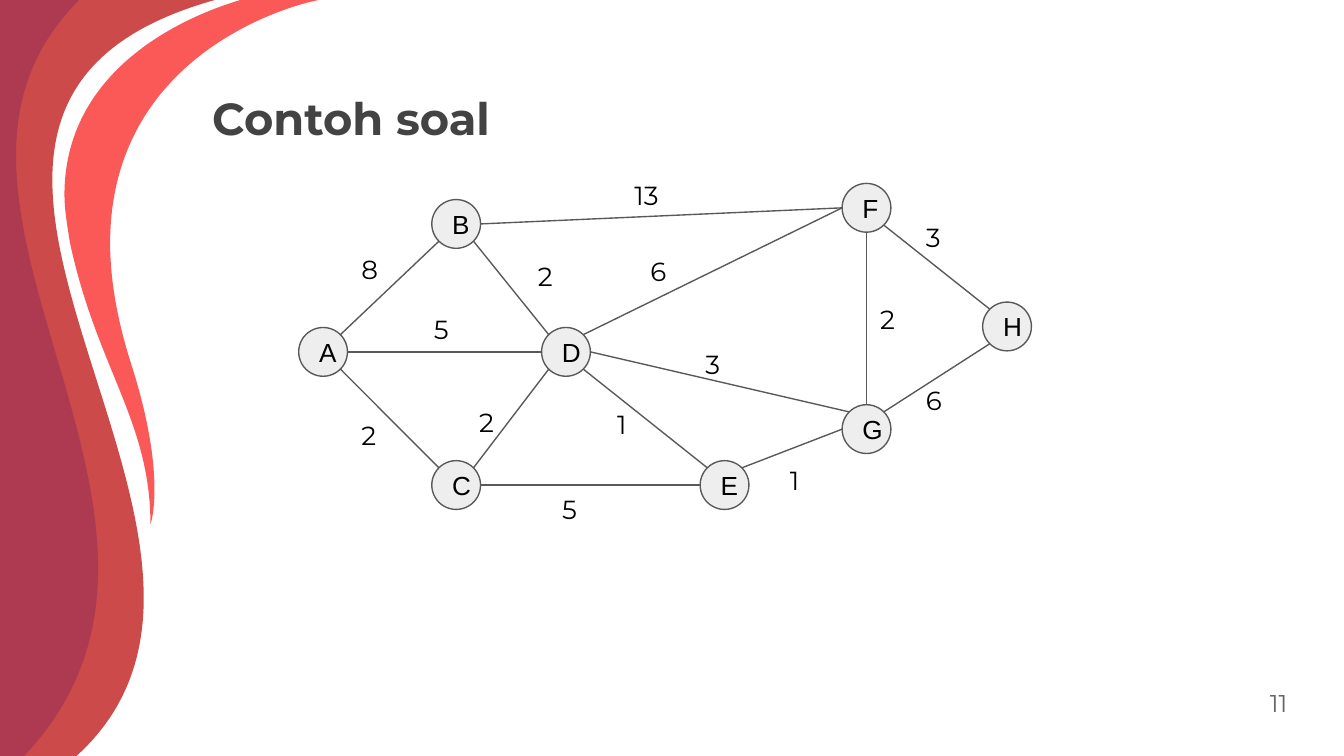
from dataclasses import dataclass
from enum import Enum
from math import sqrt

from lxml.etree import SubElement
from pptx import Presentation
from pptx.dml.color import RGBColor
from pptx.enum.shapes import MSO_CONNECTOR, MSO_SHAPE
from pptx.enum.text import MSO_ANCHOR, PP_ALIGN
from pptx.oxml.ns import qn
from pptx.slide import Slide
from pptx.text.text import TextFrame
from pptx.util import Inches, Pt

# The grid has 100 columns and 56.25 rows of square cells.
COLUMNS, ROWS = 100, 56.25
CELL = Inches(10) / COLUMNS
NODE_SIZE = 3.63
LABEL_HEIGHT = 4.3
DIAGONAL = sqrt(0.5)

CORAL = RGBColor(0xFB, 0x58, 0x58)
RED = RGBColor(0xCC, 0x4A, 0x4A)
WINE = RGBColor(0xAD, 0x3A, 0x50)
TITLE_GRAY = RGBColor(0x43, 0x43, 0x43)
NUMBER_GRAY = RGBColor(0x66, 0x66, 0x66)
LINE_GRAY = RGBColor(0x59, 0x59, 0x59)
NODE_GRAY = RGBColor(0xEE, 0xEE, 0xEE)
BLACK = RGBColor(0, 0, 0)

Point = tuple[float, float]


class Site(Enum):
    """Direction from a node's centre to the point where an edge touches it."""
    TOP = (0, -1)
    BOTTOM = (0, 1)
    LEFT = (-1, 0)
    RIGHT = (1, 0)
    TOP_LEFT = (-DIAGONAL, -DIAGONAL)
    TOP_RIGHT = (DIAGONAL, -DIAGONAL)
    BOTTOM_LEFT = (-DIAGONAL, DIAGONAL)
    BOTTOM_RIGHT = (DIAGONAL, DIAGONAL)


@dataclass(frozen=True)
class Wave:
    """A start point followed by segments: one point is a line, three a curve."""
    color: RGBColor
    start: Point
    segments: list[tuple[Point, ...]]


@dataclass(frozen=True)
class Node:
    column: float
    row: float
    alignment: PP_ALIGN = PP_ALIGN.LEFT

    def touch(self, site: Site) -> Point:
        radius = NODE_SIZE / 2
        across, down = site.value
        return self.column + radius * (1 + across), self.row + radius * (1 + down)


@dataclass(frozen=True)
class Edge:
    start: str
    start_site: Site
    end: str
    end_site: Site
    weight: str
    label_column: float
    label_row: float


@dataclass(frozen=True)
class Style:
    size: float
    color: RGBColor
    font: str = "Montserrat"
    bold: bool = False
    alignment: PP_ALIGN = PP_ALIGN.LEFT


WAVES = [
    Wave(CORAL, (23.8, 0), [
        ((17.9, 0),),
        ((15.2, 0.8), (4.8, 4.4), (4.8, 14.5)),
        ((4.8, 15.6), (5, 16.7), (5.2, 18)),
        ((7.2, 27.4), (11.2, 31.3), (11.2, 39)),
        ((11.2, 39), (11.2, 39), (11.2, 39)),
        ((11.2, 39), (11.5, 38.3), (11.5, 36.4)),
        ((11.5, 34.6), (11.2, 31.6), (9.8, 27.2)),
        ((8.7, 23.8), (8.2, 20.7), (8.2, 18.1)),
        ((8.2, 3.2), (23.3, 0), (23.8, 0))]),
    Wave(RED, (16, 0), [
        ((0, 0),), ((0, ROWS),), ((5.7, ROWS),),
        ((9.4, 52.9), (10.7, 48.8), (10.7, 44.5)),
        ((10.7, 34.4), (3.9, 22.6), (3.9, 13.4)),
        ((3.9, 7.5), (6.7, 2.6), (16, 0))]),
    Wave(WINE, (7.3, 42.3), [
        ((7.3, 32), (1.2, 21.1), (1.2, 11.6)),
        ((1.2, 7.4), (2.4, 3.5), (5.9, 0)),
        ((0, 0),), ((0, ROWS),), ((1.8, ROWS),),
        ((5.9, 51.9), (7.3, 47.2), (7.3, 42.3))]),
]

NODES = {
    "A": Node(22.23, 24.37, PP_ALIGN.CENTER),
    "B": Node(32.13, 14.85, PP_ALIGN.CENTER),
    "C": Node(32.13, 34.28),
    "D": Node(40.3, 24.37),
    "F": Node(62.66, 13.65),
    "G": Node(62.66, 30.12),
    "H": Node(73.12, 22.48),
    "E": Node(52.1, 34.28),
}

EDGES = [
    Edge("A", Site.RIGHT, "D", Site.LEFT, "5", 31.3, 22.3),
    Edge("A", Site.TOP_RIGHT, "B", Site.BOTTOM_LEFT, "8", 25.9, 17.87),
    Edge("B", Site.BOTTOM_RIGHT, "D", Site.TOP_LEFT, "2", 39.04, 18.4),
    Edge("A", Site.BOTTOM_RIGHT, "C", Site.TOP_LEFT, "2", 25.9, 30.2),
    Edge("C", Site.TOP_RIGHT, "D", Site.BOTTOM_LEFT, "2", 34.67, 29.23),
    Edge("C", Site.RIGHT, "E", Site.LEFT, "5", 40.84, 35.7),
    Edge("E", Site.TOP_RIGHT, "G", Site.LEFT, "1", 57.8, 33.53),
    Edge("D", Site.BOTTOM_RIGHT, "E", Site.TOP_LEFT, "1", 44.93, 29.4),
    Edge("D", Site.RIGHT, "G", Site.TOP_LEFT, "3", 51.5, 24.9),
    Edge("D", Site.TOP_RIGHT, "F", Site.LEFT, "6", 47.4, 18),
    Edge("B", Site.RIGHT, "F", Site.LEFT, "13", 46.22, 12.36),
    Edge("F", Site.BOTTOM, "G", Site.TOP, "2", 64.5, 21.6),
    Edge("F", Site.BOTTOM_RIGHT, "H", Site.TOP_LEFT, "3", 67.9, 15.5),
    Edge("G", Site.TOP_RIGHT, "H", Site.BOTTOM_LEFT, "6", 67.9, 27.63),
]


def cells(*counts: float) -> list[int]:
    return [round(count * CELL) for count in counts]


def draw_wave(slide: Slide, wave: Wave) -> None:
    """Draw through all points, then join each three-point segment into a curve."""
    builder = slide.shapes.build_freeform(*cells(*wave.start))
    builder.add_line_segments(
        [cells(*point) for segment in wave.segments for point in segment], close=True)
    shape = builder.convert_to_shape()
    shape.shadow.inherit = False
    shape.fill.solid()
    shape.fill.fore_color.rgb = wave.color
    shape.line.fill.background()
    lines = iter(list(shape._element.iter(qn("a:lnTo"))))
    for segment in wave.segments:
        first, *others = [next(lines) for _ in segment]
        if others:
            first.tag = qn("a:cubicBezTo")
        for other in others:
            first.append(other[0])
            other.getparent().remove(other)


def write(frame: TextFrame, text: str, style: Style, anchor: MSO_ANCHOR = MSO_ANCHOR.TOP) -> None:
    frame.word_wrap = True
    frame.vertical_anchor = anchor
    frame.margin_left = frame.margin_right = frame.margin_top = frame.margin_bottom = Inches(0.1)
    paragraph = frame.paragraphs[0]
    paragraph.alignment = style.alignment
    run = paragraph.add_run()
    run.text = text
    run.font.name = style.font
    run.font.size = Pt(style.size)
    run.font.bold = style.bold
    run.font.color.rgb = style.color


def draw_text(slide: Slide, box: tuple[float, float, float, float], text: str, style: Style) -> None:
    write(slide.shapes.add_textbox(*cells(*box)).text_frame, text, style)


def draw_node(slide: Slide, name: str, node: Node) -> None:
    shape = slide.shapes.add_shape(
        MSO_SHAPE.OVAL, *cells(node.column, node.row, NODE_SIZE, NODE_SIZE))
    shape.shadow.inherit = False
    shape.fill.solid()
    shape.fill.fore_color.rgb = NODE_GRAY
    shape.line.color.rgb = LINE_GRAY
    shape.line.width = Pt(0.75)
    write(shape.text_frame, name, Style(14, BLACK, "Arial", alignment=node.alignment),
          MSO_ANCHOR.MIDDLE)


def draw_edge(slide: Slide, edge: Edge) -> None:
    start = NODES[edge.start].touch(edge.start_site)
    end = NODES[edge.end].touch(edge.end_site)
    connector = slide.shapes.add_connector(MSO_CONNECTOR.STRAIGHT, *cells(*start, *end))
    connector.line.color.rgb = LINE_GRAY
    connector.line.width = Pt(0.75)
    SubElement(connector._element.spPr, qn("a:effectLst"))
    width = 1.6 + 2 * len(edge.weight)
    draw_text(slide, (edge.label_column, edge.label_row, width, LABEL_HEIGHT),
              edge.weight, Style(14, BLACK))


def main() -> None:
    presentation = Presentation()
    presentation.slide_width, presentation.slide_height = cells(COLUMNS, ROWS)
    slide = presentation.slides.add_slide(presentation.slide_layouts[6])
    for wave in WAVES:
        draw_wave(slide, wave)
    draw_text(slide, (14.8, 5.74, 77.1, 5.3), "Contoh soal", Style(24, TITLE_GRAY, bold=True))
    draw_text(slide, (90.76, 50.2, 6, 4.3), "11",
              Style(13, NUMBER_GRAY, alignment=PP_ALIGN.RIGHT))
    for name, node in NODES.items():
        draw_node(slide, name, node)
    for edge in EDGES:
        draw_edge(slide, edge)
    presentation.save("out.pptx")


if __name__ == "__main__":
    main()
